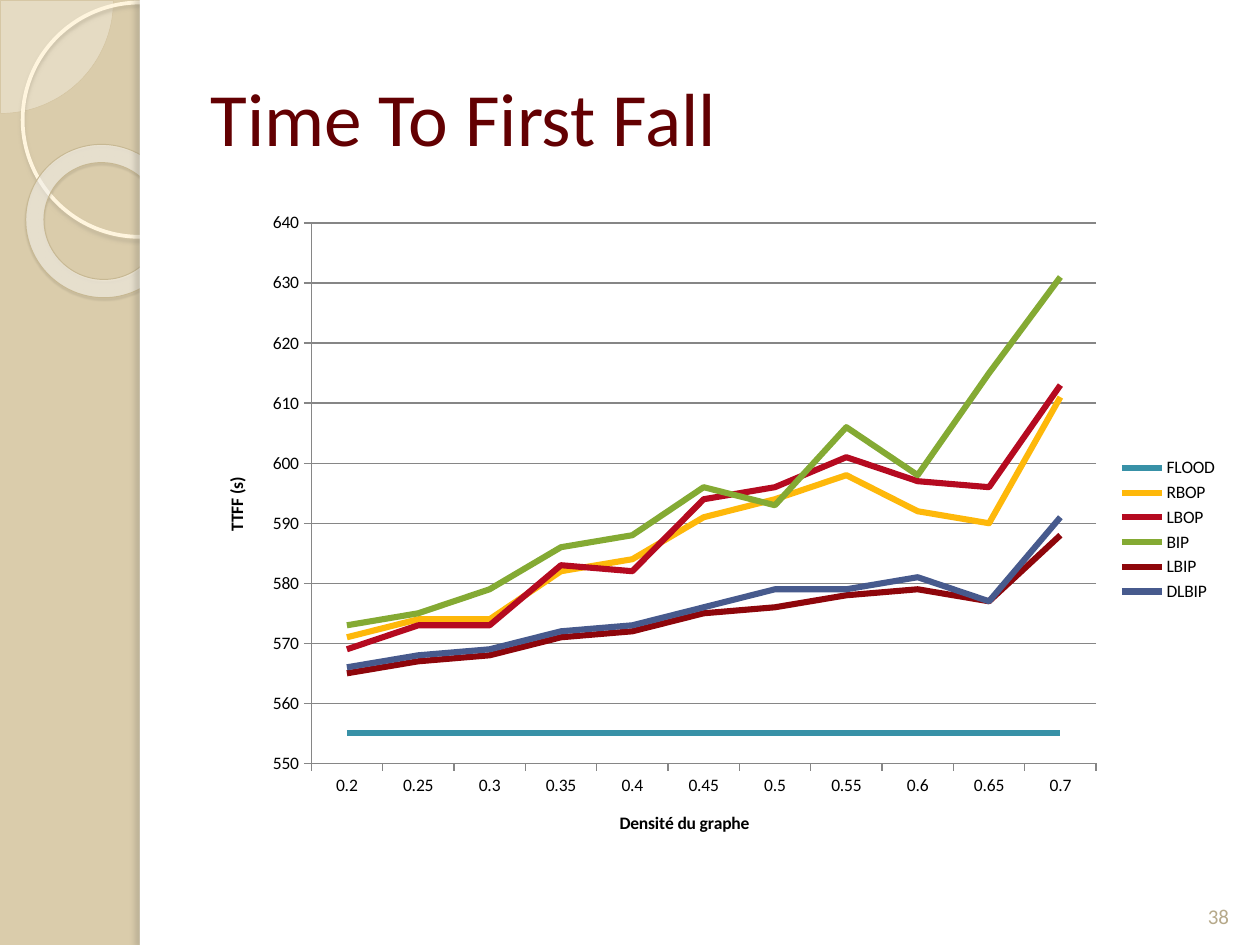
import pptx
import pptx.util
import pptx.chart.data
import pptx.dml.color
import pptx.enum.chart
import pptx.enum.shapes
import pptx.enum.text
import pptx.oxml
from pptx.util import Inches

COLORS = {
    "sand": "DACCAB", "white": "FFFFFF", "cream": "FEFAF4", "ivory": "FFFEFB",
    "pie_line": "D3C39F", "circle_line": "FFF5DE", "ring_line": "C7B893",
    "title": "630002", "number": "B6A98A", "text": "000000", "grid": "868686",
    "FLOOD": "3891A7", "RBOP": "FEB80A", "LBOP": "B50A20",
    "BIP": "84AA33", "LBIP": "8E060B", "DLBIP": "475A8D",
}
RGB = {name: pptx.dml.color.RGBColor.from_string(h) for name, h in COLORS.items()}
SHAPE = pptx.enum.shapes.MSO_SHAPE
ALIGN = pptx.enum.text.PP_ALIGN
ANCHOR = pptx.enum.text.MSO_ANCHOR
NS = 'xmlns:a="http://schemas.openxmlformats.org/drawingml/2006/main"'


def set_text(tf, text, size, color, bold=False, align=None, anchor=None):
    if anchor is not None:
        tf.word_wrap = True
        tf.vertical_anchor = anchor
    p = tf.paragraphs[0]
    p.alignment = align
    r = p.add_run()
    r.text = text
    r.font.name = "Calibri"
    r.font.size = pptx.util.Pt(size)
    r.font.bold = bold
    r.font.color.rgb = RGB[color]


def add_decor(kind, box, fill=None, opacity=100, line=None, width=1, shadow=None):
    """Add a background shape; shadow is (colour, opacity %, blur pt, distance pt, angle)."""
    sp = s.shapes.add_shape(kind, *[Inches(v) for v in box])
    sp.shadow.inherit = False
    if fill:
        sp.fill.solid()
        sp.fill.fore_color.rgb = RGB[fill]
        if opacity < 100:
            clr = sp.fill._xPr.solidFill[0]
            clr.append(pptx.oxml.parse_xml(f'<a:alpha {NS} val="{opacity * 1000}"/>'))
    else:
        sp.fill.background()
    if line:
        sp.line.color.rgb = RGB[line]
        sp.line.width = pptx.util.Pt(width)
    else:
        sp.line.fill.background()
    if shadow:
        color, alpha, blur, dist, angle = shadow
        effects = sp._element.spPr.find(pptx.oxml.ns.qn("a:effectLst"))
        effects.append(pptx.oxml.parse_xml(
            f'<a:outerShdw {NS} blurRad="{int(blur * 12700)}" dist="{int(dist * 12700)}" '
            f'dir="{angle * 60000}" algn="tl" rotWithShape="0"><a:srgbClr val="{color}">'
            f'<a:alpha val="{alpha * 1000}"/></a:srgbClr></a:outerShdw>'))
    return sp


prs = pptx.Presentation()
prs.slide_width, prs.slide_height = Inches(10), Inches(7.5)
s = prs.slides.add_slide(prs.slide_layouts[5])
s.background.fill.solid()
s.background.fill.fore_color.rgb = RGB["sand"]

# Side band decoration, partly covered by the white page
pie = add_decor(SHAPE.PIE, (-0.89, -0.89, 1.79, 1.79), "cream", 33, "pie_line", 0.25)
pie.adjustments[0] = 0
pie.adjustments[1] = 54
add_decor(SHAPE.OVAL, (0.18, 0.02, 1.86, 1.86), line="circle_line", width=2.15,
          shadow=("B0A68F", 50, 2, 2, 90))
ring = add_decor(SHAPE.DONUT, (0.2, 1.15, 1.23, 1.21), "ivory", 50, "ring_line", 0.58,
                 ("5A5444", 20, 1, 1.2, 75))
ring.adjustments[0] = 0.12
ring.rotation = 38.6
add_decor(SHAPE.RECTANGLE, (1.11, 0, 8.89, 7.5), "white")
add_decor(SHAPE.RECTANGLE, (1.11, 0, 0.08, 7.5), "white", shadow=("736F63", 25, 3, 3, 180))

# The title goes in front of the white page
title = s.shapes.title
s.shapes._spTree.append(title._element)
title.left, title.top, title.width, title.height = [Inches(v) for v in (1.57, 0.3, 8.2, 1.25)]
set_text(title.text_frame, "Time To First Fall", 43, "title",
         align=ALIGN.LEFT, anchor=ANCHOR.MIDDLE)

number = s.shapes.add_textbox(Inches(9.42), Inches(6.9), Inches(0.5), Inches(0.52))
set_text(number.text_frame, "38", 12, "number", align=ALIGN.CENTER, anchor=ANCHOR.BOTTOM)

# Line chart
series = {
    "FLOOD": [555] * 11,
    "RBOP": [571, 574, 574, 582, 584, 591, 594, 598, 592, 590, 611],
    "LBOP": [569, 573, 573, 583, 582, 594, 596, 601, 597, 596, 613],
    "BIP": [573, 575, 579, 586, 588, 596, 593, 606, 598, 615, 631],
    "LBIP": [565, 567, 568, 571, 572, 575, 576, 578, 579, 577, 588],
    "DLBIP": [566, 568, 569, 572, 573, 576, 579, 579, 581, 577, 591],
}
data = pptx.chart.data.CategoryChartData()
data.categories = [f"{(20 + 5 * i) / 100:g}" for i in range(11)]
for name, values in series.items():
    data.add_series(name, values)
chart_w, chart_h = 8.2, 5.25
chart = s.shapes.add_chart(pptx.enum.chart.XL_CHART_TYPE.LINE, Inches(1.57), Inches(1.58),
                           Inches(chart_w), Inches(chart_h), data).chart
chart.font.name = "Calibri"
chart.font.size = pptx.util.Pt(10)
chart.font.color.rgb = RGB["text"]
chart.has_title = False
chart.has_legend = True
chart.legend.position = pptx.enum.chart.XL_LEGEND_POSITION.RIGHT
chart.legend.include_in_layout = False

plot = chart.plots[0]
plot.vary_by_categories = False
for ser in plot.series:
    ser.smooth = False
    ser.marker.style = pptx.enum.chart.XL_MARKER_STYLE.NONE
    ser.format.line.color.rgb = RGB[ser.name]
    ser.format.line.width = pptx.util.Pt(3.5)

for axis, label in ((chart.category_axis, "Densité du graphe"), (chart.value_axis, "TTFF (s)")):
    axis.major_tick_mark = pptx.enum.chart.XL_TICK_MARK.OUTSIDE
    axis.format.line.color.rgb = RGB["grid"]
    set_text(axis.axis_title.text_frame, label, 10, "text", bold=True)
value_axis = chart.value_axis
value_axis.minimum_scale, value_axis.maximum_scale, value_axis.major_unit = 550, 640, 10
value_axis.major_gridlines.format.line.color.rgb = RGB["grid"]

# Inner plot area, in inches turned into fractions of the chart
plot_area = chart._chartSpace.chart.plotArea
for old in plot_area.findall(pptx.oxml.ns.qn("c:layout")):
    plot_area.remove(old)
layout = "".join(f'<c:{tag} val="{val}"/>' for tag, val in (
    ("layoutTarget", "inner"), ("xMode", "edge"), ("yMode", "edge"),
    ("x", 0.9 / chart_w), ("y", 0.19 / chart_h),
    ("w", 6.23 / chart_w), ("h", 4.29 / chart_h)))
plot_area.insert(0, pptx.oxml.parse_xml(
    '<c:layout xmlns:c="http://schemas.openxmlformats.org/drawingml/2006/chart">'
    f'<c:manualLayout>{layout}</c:manualLayout></c:layout>'))

prs.save("out.pptx")
